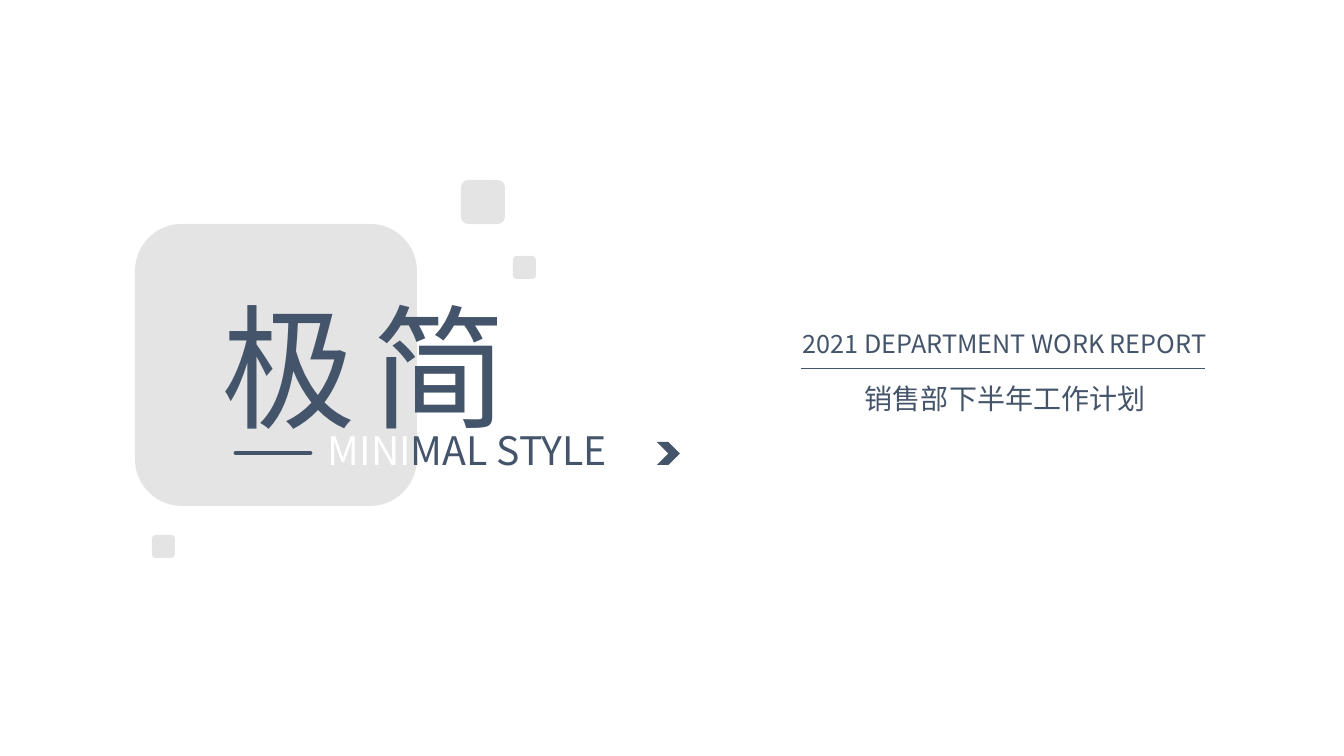
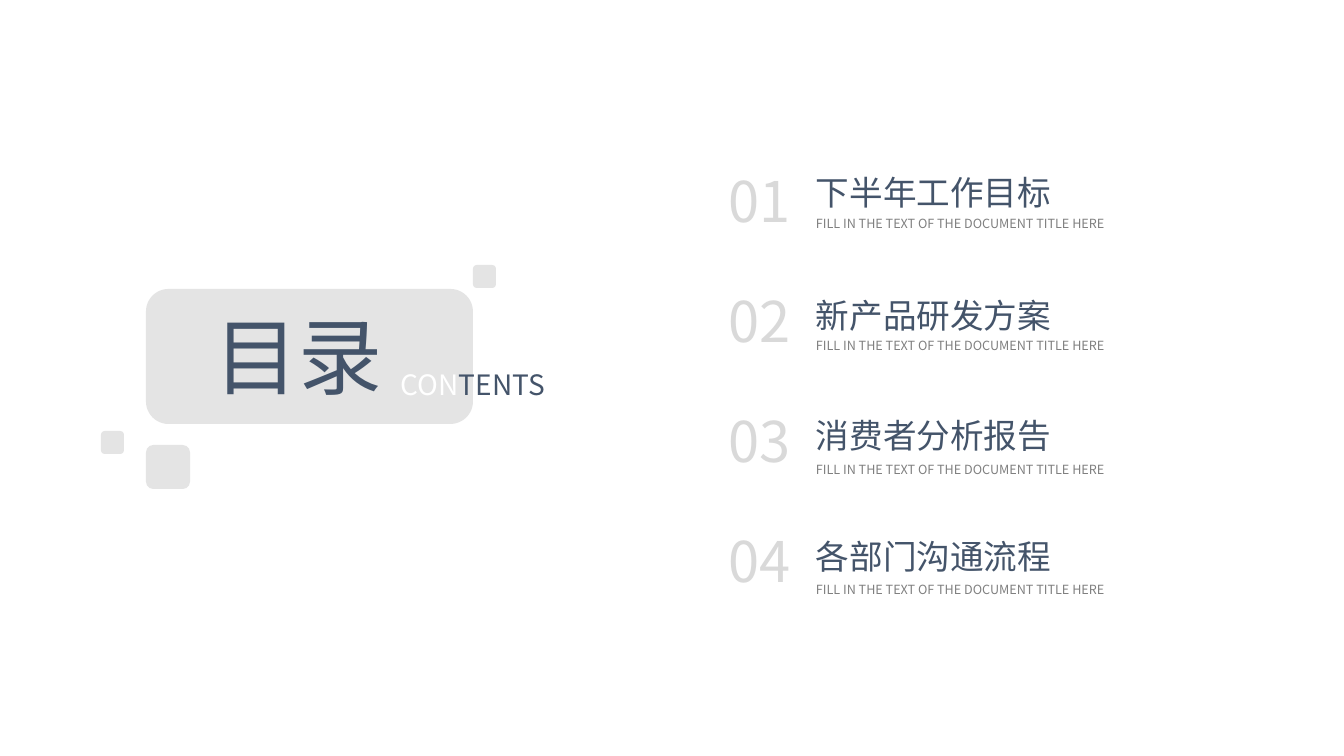
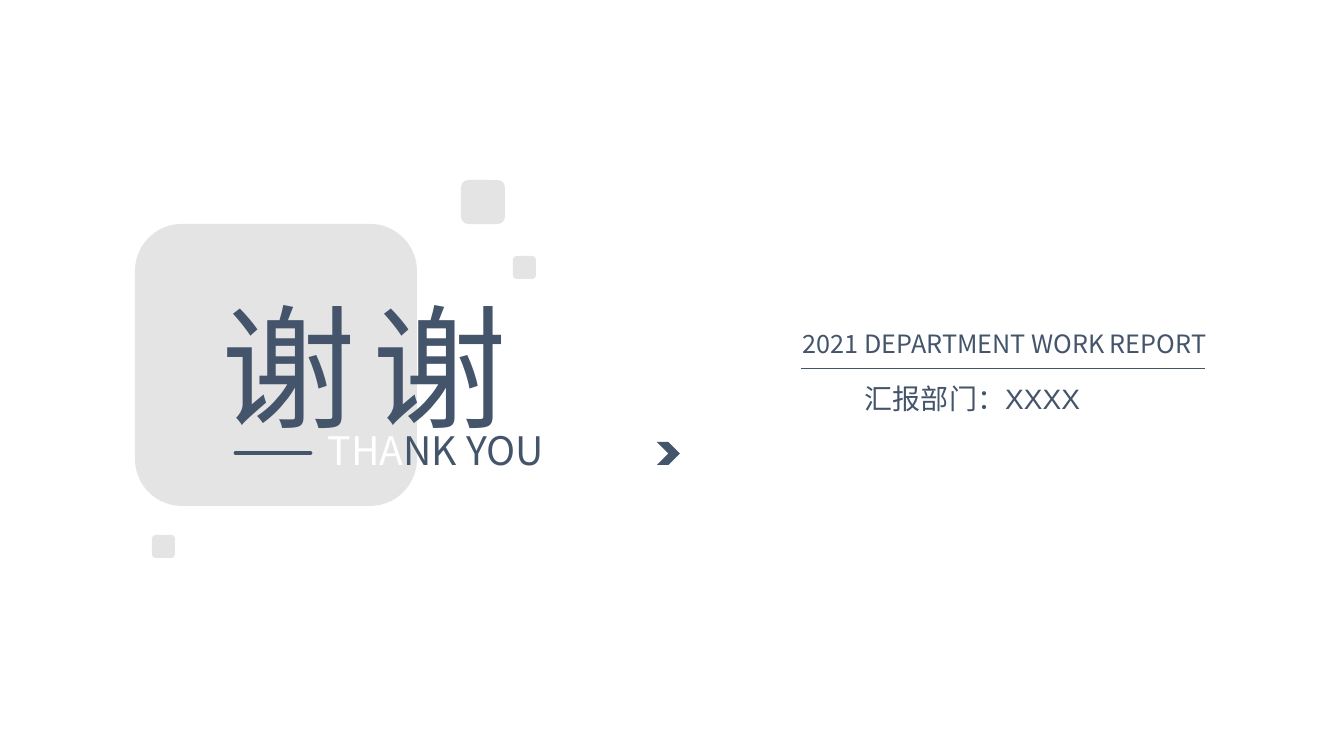
"""Builds a minimal-style work report: cover, contents and closing slide."""
from lxml.etree import SubElement
from pptx import Presentation
from pptx.dml.color import RGBColor
from pptx.enum.shapes import MSO_CONNECTOR as CONNECTOR, MSO_SHAPE as SHAPE
from pptx.enum.text import MSO_AUTO_SIZE as AUTO, PP_ALIGN as ALIGN
from pptx.oxml.ns import qn
from pptx.util import Pt

PX = 914400 / 100.8
NAVY, GREY, WHITE, CAPTION = "44546A", "D9D9D9", "FFFFFF", "808080"
NOTO, ARIAL = "Noto Sans CJK SC", "Arial"

REPORT = "2021 DEPARTMENT WORK REPORT"
COVER = dict(glyphs="极简", light="MINI", dark="MAL STYLE", width=330,
             detail="销售部下半年工作计划")
CLOSING = dict(glyphs="谢谢", light="THA", dark="NK YOU", width=291,
               detail="汇报部门：XXXX")
COVER_TILES = [(135, 224, 282, 282), (461, 180, 44, 44),
               (513, 256, 23, 23), (152, 535, 23, 23)]
CONTENTS_TILES = [(146, 289, 327, 135), (146, 445, 44, 44),
                  (101, 431, 23, 23), (473, 265, 23, 23)]
HINT = "FILL IN THE TEXT OF THE DOCUMENT TITLE HERE"
CHAPTERS = [("下半年工作目标", 167, 211), ("新产品研发方案", 290, 333),
            ("消费者分析报告", 410, 457), ("各部门沟通流程", 531, 577)]
NUMBER_TOP, CHAPTER_PITCH = 162, 120


def emu(*lengths):
    return [round(length * PX) for length in lengths]


def color(value):
    return RGBColor.from_string(value)


def add_solid(slide, preset, box, fill, opacity=100):
    solid = slide.shapes.add_shape(preset, *emu(*box))
    solid.shadow.inherit = False
    solid.fill.solid()
    solid.fill.fore_color.rgb = color(fill)
    solid.line.fill.background()
    if opacity < 100:
        tint = solid.fill._xPr.find(qn("a:solidFill"))[0]
        SubElement(tint, qn("a:alpha"), val=str(opacity * 1000))


def add_tiles(slide, tiles):
    for box in tiles:
        add_solid(slide, SHAPE.ROUNDED_RECTANGLE, box, GREY, 70)


def add_rule(slide, left, right, y, weight, cap="flat"):
    rule = slide.shapes.add_connector(CONNECTOR.STRAIGHT, *emu(left, y, right, y))
    rule.line.color.rgb = color(NAVY)
    rule.line.width = Pt(weight)
    rule.line._ln.set("cap", cap)
    SubElement(rule._element.spPr, qn("a:effectLst"))


def add_text(slide, box, size, runs, wrap=False, font=NOTO):
    frame = slide.shapes.add_textbox(*emu(*box)).text_frame
    frame.word_wrap = wrap
    frame.auto_size = AUTO.SHAPE_TO_FIT_TEXT
    line = frame.paragraphs[0]
    if wrap:
        line.alignment = ALIGN.JUSTIFY
    for words, ink in runs:
        run = line.add_run()
        run.text = words
        for key, value in {"size": Pt(size), "name": font}.items():
            setattr(run.font, key, value)
        run.font.color.rgb = color(ink)
        SubElement(run.font._element, qn("a:ea"), typeface=NOTO)


def add_title_slide(slide, glyphs, light, dark, width, detail):
    add_tiles(slide, COVER_TILES)
    for column, glyph in enumerate(glyphs):
        add_text(slide, (212 + 151 * column, 279, 156, 173), 96, [(glyph, NAVY)])
    add_text(slide, (318, 421, width, 57), 28, [(light, WHITE), (dark, NAVY)], True)
    add_solid(slide, SHAPE.CHEVRON, (657, 442, 23, 23), NAVY)
    add_rule(slide, 801, 1205, 368, 0.5)
    add_rule(slide, 236, 310, 453, 3.5, "rnd")
    add_text(slide, (793, 323, 429, 40), 18, [(REPORT, NAVY)])
    add_text(slide, (855, 377, 358, 44), 20, [(detail, NAVY)], True, ARIAL)


def add_contents_slide(slide):
    add_tiles(slide, CONTENTS_TILES)
    add_text(slide, (205, 300, 199, 112), 60, [("目录", NAVY)], True)
    add_text(slide, (391, 363, 199, 44), 20, [("CON", WHITE), ("TENTS", NAVY)], True)
    for row, (chapter, chapter_top, hint_top) in enumerate(CHAPTERS):
        number_top = NUMBER_TOP + CHAPTER_PITCH * row
        add_text(slide, (719, number_top, 87, 78), 40, [(f"{row + 1:02}", GREY)])
        add_text(slide, (806, chapter_top, 258, 50), 24, [(chapter, NAVY)])
        add_text(slide, (806, hint_top, 310, 25), 9, [(HINT, CAPTION)])


def main():
    deck = Presentation()
    deck.slide_width, deck.slide_height = emu(1344, 756)
    cover, contents, closing = [deck.slides.add_slide(deck.slide_layouts[6])
                                for _ in range(3)]
    add_title_slide(cover, **COVER)
    add_contents_slide(contents)
    add_title_slide(closing, **CLOSING)
    deck.save("out.pptx")


if __name__ == "__main__":
    main()
